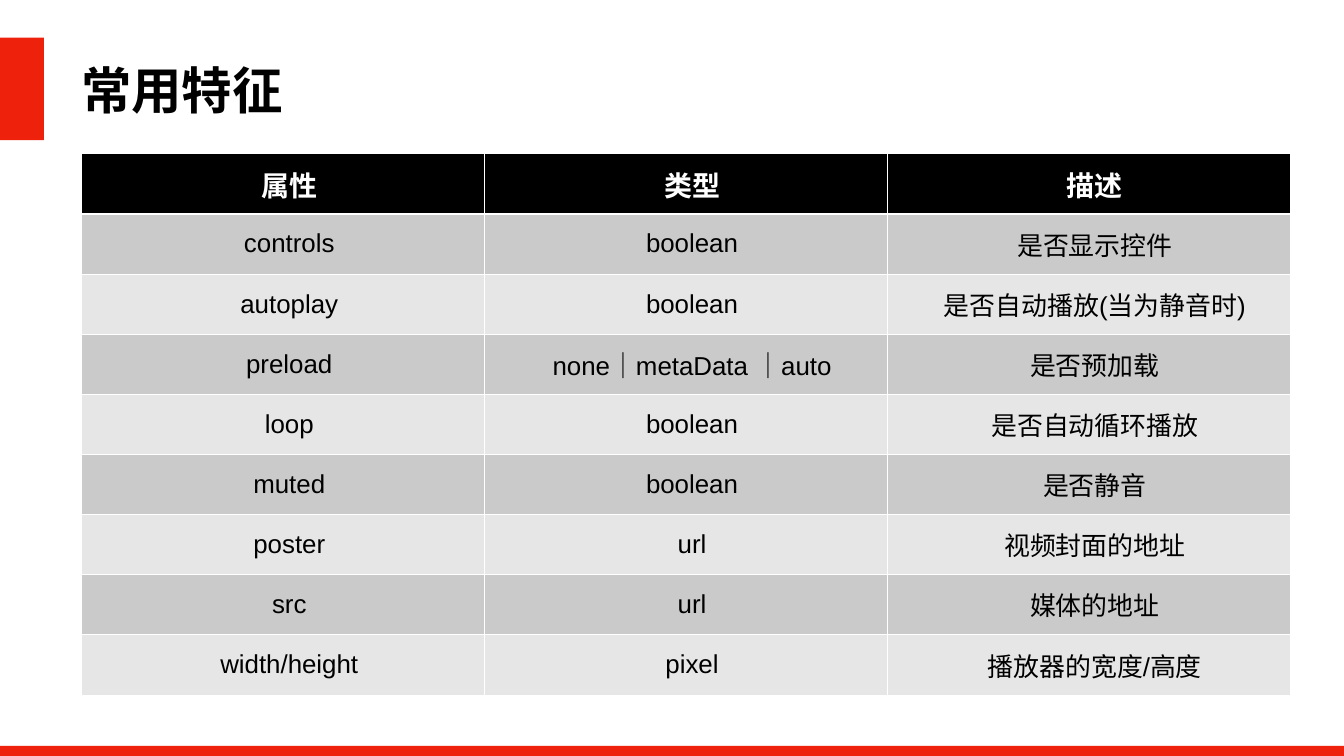
from lxml import etree
from pptx import Presentation
from pptx.dml.color import RGBColor
from pptx.enum.shapes import MSO_SHAPE
from pptx.enum.text import MSO_ANCHOR, PP_ALIGN
from pptx.oxml.ns import qn
from pptx.util import Cm, Pt

RECTANGLE = MSO_SHAPE.RECTANGLE
MIDDLE = MSO_ANCHOR.MIDDLE
CENTER = PP_ALIGN.CENTER

RED = RGBColor(0xEE, 0x22, 0x0C)
BLACK = RGBColor(0x00, 0x00, 0x00)
WHITE = RGBColor(0xFF, 0xFF, 0xFF)
DARK_BAND = RGBColor(0xCA, 0xCA, 0xCA)
LIGHT_BAND = RGBColor(0xE6, 0xE6, 0xE6)

TITLE_FORMAT = {"name": "Arial", "size": Pt(72), "bold": True}
HEADER_FORMAT = {"name": "Arial", "size": Pt(40), "bold": True}
BODY_FORMAT = {"name": "Arial", "size": Pt(37), "bold": False}
TITLE_FRAME = {
    "word_wrap": True, "vertical_anchor": MIDDLE,
    "margin_left": Cm(0.15), "margin_right": Cm(0.15),
    "margin_top": Cm(0.15), "margin_bottom": Cm(0.15),
}
CELL_FRAME = {
    "vertical_anchor": MIDDLE, "margin_left": 0, "margin_right": 0,
    "margin_top": 0, "margin_bottom": 0,
}

COLUMN_WIDTH = Cm(20.3)
ROW_HEIGHT = Cm(3.03)
FIRST_LINE_INDENT = Cm(0.64)
THIN, THICK = Pt(1), Pt(3)

ATTRIBUTES = [
    ("属性", "类型", "描述"),
    ("controls", "boolean", "是否显示控件"),
    ("autoplay", "boolean", "是否自动播放(当为静音时)"),
    ("preload", "none｜metaData ｜auto", "是否预加载"),
    ("loop", "boolean", "是否自动循环播放"),
    ("muted", "boolean", "是否静音"),
    ("poster", "url", "视频封面的地址"),
    ("src", "url", "媒体的地址"),
    ("width/height", "pixel", "播放器的宽度/高度"),
]


def apply_format(target, values):
    """Set each named attribute on the target."""
    for name, value in values.items():
        setattr(target, name, value)


def write_text(paragraph, text, font_format, color):
    """Put one formatted run into a paragraph."""
    run = paragraph.add_run()
    run.text = text
    apply_format(run.font, font_format)
    run.font.color.rgb = color


def add_title(slide, text):
    """Add the slide heading."""
    shape = slide.shapes.add_textbox(Cm(3.94), Cm(2.59), Cm(56.03), Cm(3.81))
    apply_format(shape.text_frame, TITLE_FRAME)
    write_text(shape.text_frame.paragraphs[0], text, TITLE_FORMAT, BLACK)


def add_red_block(slide, left, top, width, height):
    """Add a borderless red rectangle."""
    shape = slide.shapes.add_shape(RECTANGLE, left, top, width, height)
    shape.shadow.inherit = False
    shape.fill.solid()
    shape.fill.fore_color.rgb = RED
    shape.line.fill.background()


def set_borders(cell, top, bottom):
    """Draw white cell borders with the given top and bottom widths."""
    properties = cell._tc.get_or_add_tcPr()
    widths = {"a:lnL": THIN, "a:lnR": THIN, "a:lnT": top, "a:lnB": bottom}
    for index, (tag, width) in enumerate(widths.items()):
        line = etree.Element(qn(tag), w=str(int(width)))
        fill = etree.SubElement(line, qn("a:solidFill"))
        etree.SubElement(fill, qn("a:srgbClr"), val=str(WHITE))
        properties.insert(index, line)


def fill_cell(cell, text, font_format, color, background):
    """Write a centred cell on a plain background."""
    apply_format(cell, CELL_FRAME)
    cell.fill.solid()
    cell.fill.fore_color.rgb = background
    paragraph = cell.text_frame.paragraphs[0]
    paragraph.alignment = CENTER
    paragraph._p.get_or_add_pPr().set("indent", str(int(FIRST_LINE_INDENT)))
    write_text(paragraph, text, font_format, color)


def add_attribute_table(slide, rows):
    """Add the table with a black header and banded rows."""
    column_count = len(rows[0])
    table = slide.shapes.add_table(
        len(rows), column_count, Cm(4.11), Cm(7.75),
        COLUMN_WIDTH * column_count, ROW_HEIGHT * len(rows)).table
    for column in table.columns:
        column.width = COLUMN_WIDTH
    for row_index, texts in enumerate(rows):
        table.rows[row_index].height = ROW_HEIGHT
        if row_index == 0:
            style = HEADER_FORMAT, WHITE, BLACK
        else:
            style = BODY_FORMAT, BLACK, DARK_BAND if row_index % 2 else LIGHT_BAND
        top = THICK if row_index == 1 else THIN
        bottom = THICK if row_index == 0 else THIN
        for column_index, text in enumerate(texts):
            cell = table.cell(row_index, column_index)
            fill_cell(cell, text, *style)
            set_borders(cell, top, bottom)


def main():
    """Build and save the slide."""
    presentation = Presentation()
    presentation.slide_width = Cm(67.74)
    presentation.slide_height = Cm(38.1)
    slide = presentation.slides.add_slide(presentation.slide_layouts[6])
    add_title(slide, "常用特征")
    add_red_block(slide, Cm(-0.13), Cm(1.9), Cm(2.34), Cm(5.16))
    add_red_block(slide, Cm(0), Cm(37.59), Cm(67.74), Cm(1.27))
    add_attribute_table(slide, ATTRIBUTES)
    presentation.save("out.pptx")


if __name__ == "__main__":
    main()
